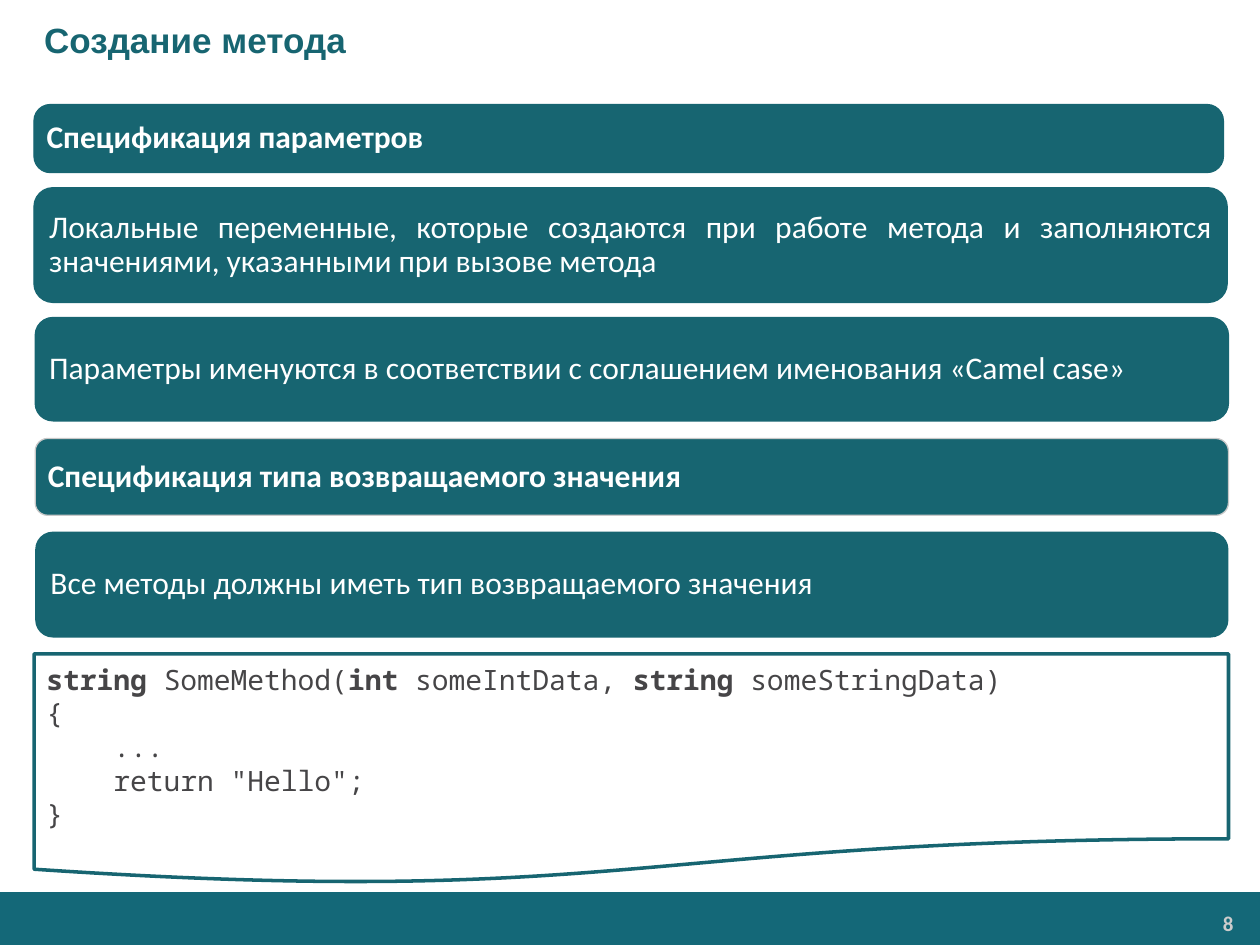
"""Build the slide about method parameters and return types."""
from dataclasses import dataclass

import pptx
import pptx.dml.color
import pptx.enum.shapes
import pptx.enum.text
import pptx.util

Inches = pptx.util.Inches
Pt = pptx.util.Pt
Shapes = pptx.enum.shapes.MSO_SHAPE
Align = pptx.enum.text.PP_ALIGN
Anchor = pptx.enum.text.MSO_ANCHOR

TEAL = "176571"
FOOTER_TEAL = "146878"
WHITE = "FFFFFF"
GRAY = "C8C8C8"
NUMBER_GRAY = "CCCCCC"
CODE_GRAY = "464547"
CORNER_TEXT_SHIFT = 0.29


@dataclass(frozen=True)
class Box:
    left: float
    top: float
    width: float
    height: float


@dataclass(frozen=True)
class Panel:
    text: str
    box: Box
    radius: float
    inset: float
    line: str | None = TEAL
    heading: bool = False


PANELS = [
    Panel("Спецификация параметров", Box(0.27, 0.83, 9.44, 0.54), 0.13, 0.1, heading=True),
    Panel(
        "Локальные переменные, которые создаются при работе метода и заполняются "
        "значениями, указанными при вызове метода",
        Box(0.27, 1.49, 9.47, 0.91), 0.15, 0.12,
    ),
    Panel(
        "Параметры именуются в соответствии с соглашением именования «Camel case»",
        Box(0.28, 2.52, 9.47, 0.82), 0.14, 0.11,
    ),
    Panel(
        "Спецификация типа возвращаемого значения",
        Box(0.28, 3.48, 9.47, 0.61), 0.1, 0.1, line=GRAY, heading=True,
    ),
    Panel(
        "Все методы должны иметь тип возвращаемого значения",
        Box(0.28, 4.22, 9.47, 0.84), 0.14, 0.12, line=None,
    ),
]

CODE_LINES = [
    [("string ", True), ("SomeMethod(", False), ("int ", True),
     ("someIntData, ", False), ("string ", True), ("someStringData)", False)],
    [("{", False)],
    [("    ...", False)],
    [('    return "Hello";', False)],
    [("}", False)],
]


def color(value: str) -> pptx.dml.color.RGBColor:
    """Turn a hex string into a colour."""
    return pptx.dml.color.RGBColor.from_string(value)


def place(box: Box) -> tuple:
    """Give the position and size of a box as lengths."""
    return Inches(box.left), Inches(box.top), Inches(box.width), Inches(box.height)


def add_text(paragraph, text: str, *, size: float, font: str, fill: str, bold: bool = False) -> None:
    """Append a formatted run to a paragraph."""
    run = paragraph.add_run()
    run.text = text
    run.font.size = Pt(size)
    run.font.name = font
    run.font.bold = bold
    run.font.color.rgb = color(fill)


def set_frame(shape, horizontal: float = 0.1, vertical: float = 0.05, anchor=Anchor.MIDDLE):
    """Set wrapping, insets and anchor, and return the text frame."""
    frame = shape.text_frame
    frame.word_wrap = True
    frame.margin_left = frame.margin_right = Inches(horizontal)
    frame.margin_top = frame.margin_bottom = Inches(vertical)
    frame.vertical_anchor = anchor
    return frame


def add_block(slide, kind, box: Box, fill: str, line: str | None = None, width: float = 0.75):
    """Add a flat filled shape with an optional outline."""
    shape = slide.shapes.add_shape(kind, *place(box))
    shape.shadow.inherit = False
    shape.fill.solid()
    shape.fill.fore_color.rgb = color(fill)
    if line is None:
        shape.line.fill.background()
    else:
        shape.line.color.rgb = color(line)
        shape.line.width = Pt(width)
    return shape


def add_label(slide, box: Box, text: str, *, inset: float, align, anchor=Anchor.MIDDLE, **style) -> None:
    """Add a text box with one formatted paragraph."""
    frame = set_frame(slide.shapes.add_textbox(*place(box)), inset, 0.04, anchor)
    paragraph = frame.paragraphs[0]
    paragraph.alignment = align
    add_text(paragraph, text, **style)


def add_panel(slide, panel: Panel) -> None:
    """Add a rounded panel with its statement."""
    shape = add_block(slide, Shapes.ROUNDED_RECTANGLE, panel.box, TEAL, panel.line)
    shape.adjustments[0] = panel.radius / panel.box.height
    inset = panel.inset - CORNER_TEXT_SHIFT * panel.radius
    paragraph = set_frame(shape, inset, inset).paragraphs[0]
    paragraph.alignment = Align.LEFT if panel.heading else Align.JUSTIFY
    paragraph.line_spacing = 0.9
    add_text(paragraph, panel.text, size=18, font="Calibri", fill=WHITE, bold=panel.heading)


def add_code(slide, box: Box) -> None:
    """Add the document shape with the code sample."""
    shape = add_block(slide, Shapes.FLOWCHART_DOCUMENT, box, WHITE, TEAL, 2)
    frame = set_frame(shape)
    for index, line in enumerate(CODE_LINES):
        paragraph = frame.add_paragraph() if index else frame.paragraphs[0]
        paragraph.alignment = Align.LEFT
        for text, bold in line:
            add_text(paragraph, text, size=16, font="Noto Sans Mono", fill=CODE_GRAY, bold=bold)


def main() -> None:
    """Build and save the presentation."""
    presentation = pptx.Presentation()
    presentation.slide_width = Inches(10)
    presentation.slide_height = Inches(7.5)
    slide = presentation.slides.add_slide(presentation.slide_layouts[6])
    add_block(slide, Shapes.RECTANGLE, Box(0, 7.08, 10, 0.42), FOOTER_TEAL)
    add_label(slide, Box(8.23, 7.19, 1.63, 0.28), "8", inset=0.07, align=Align.RIGHT,
              anchor=Anchor.TOP, size=12, font="Calibri", fill=NUMBER_GRAY, bold=True)
    add_label(slide, Box(0, 0, 10, 0.63), "Создание метода", inset=0.35, align=Align.LEFT,
              size=20, font="Arial", fill=TEAL, bold=True)
    for panel in PANELS:
        add_panel(slide, panel)
    add_code(slide, Box(0.27, 5.19, 9.48, 1.83))
    presentation.save("out.pptx")


if __name__ == "__main__":
    main()
